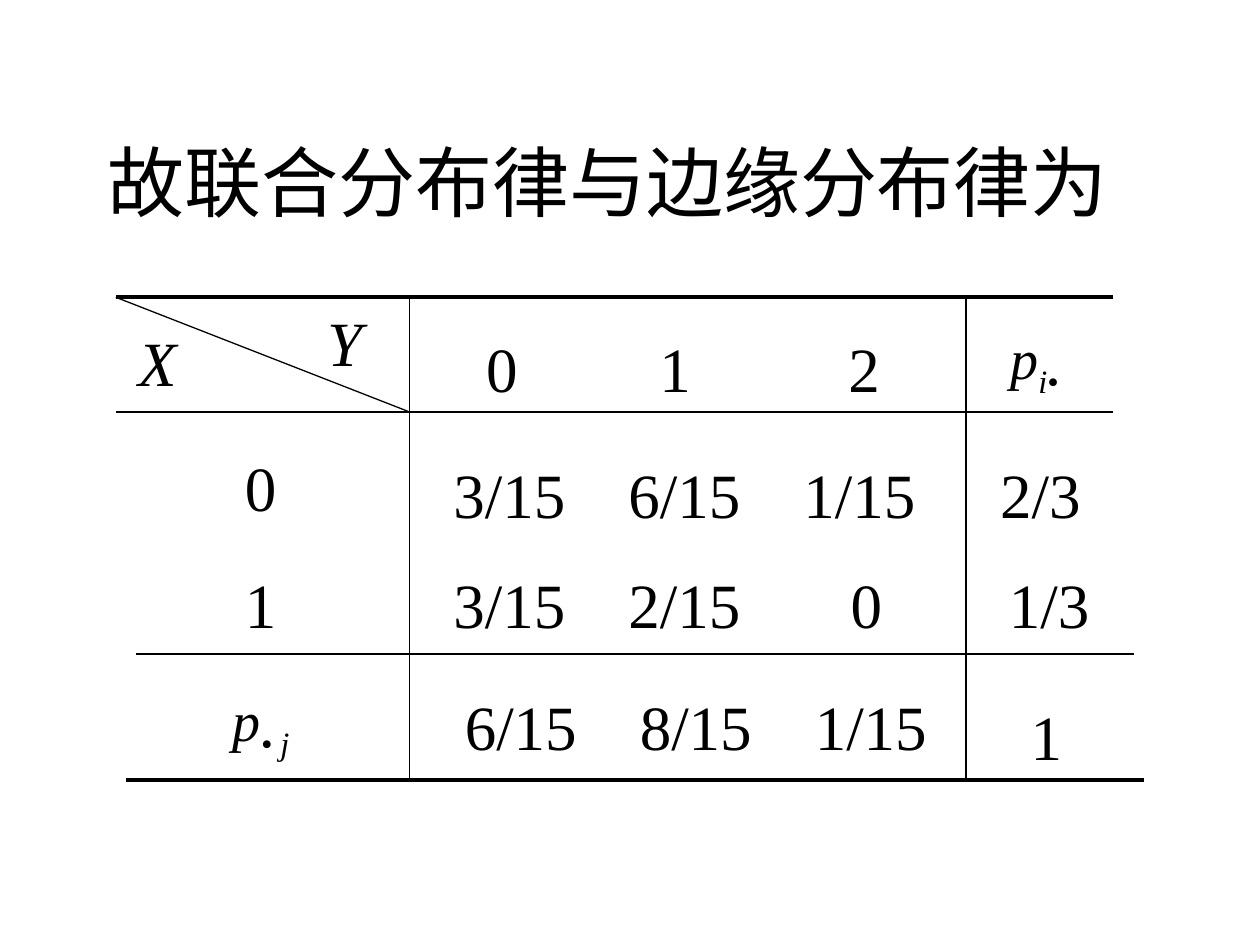
from dataclasses import dataclass

from lxml.etree import SubElement
from pptx import Presentation
from pptx.dml.color import RGBColor
from pptx.enum.shapes import MSO_CONNECTOR as Connector
from pptx.enum.text import MSO_ANCHOR as Anchor, MSO_AUTO_SIZE as AutoSize, PP_ALIGN as Align
from pptx.oxml.ns import qn
from pptx.util import Pt

COLORS = {"ink": "000000", "paper": "FFFFFF"}
FONT = "Times New Roman"
TITLE_SIZE, NUMBER_SIZE, SYMBOL_SIZE = 44, 36, 32

# Edges of the distribution table
LEFT, LABEL_EDGE, SUM_EDGE, RIGHT = 66.2, 234, 552, 635.8
TOP, HEADER_EDGE, TOTAL_EDGE, BOTTOM = 169.9, 235.4, 373.7, 445.7


@dataclass(frozen=True)
class Entry:
    text: str
    left: float
    top: float
    width: float
    height: float = 50.4
    size: float = NUMBER_SIZE
    italic: bool = False
    subscript: str = ""
    tabs: tuple[float, ...] = ()
    gap: float = 0
    inset: float = 7.2


@dataclass(frozen=True)
class Rule:
    start: tuple[float, float]
    end: tuple[float, float]
    weight: float


ENTRIES = [
    Entry("0\n1", 123.8, 252.7, 50.4, height=115.2, gap=23.5, inset=16.2),
    Entry("0\t1\t2", 270.7, 185, 239, tabs=(99, 207)),
    Entry("3/15\t6/15\t1/15", 252, 257, 278, tabs=(100, 200)),
    Entry("3/15\t2/15\t0", 252, 319.7, 259.2, tabs=(100, 227)),
    Entry("6/15\t8/15\t1/15", 258.5, 389.5, 278, tabs=(100, 200)),
    Entry("X", 72, 181.4, 37.4, italic=True),
    Entry("Y", 180, 169.9, 43.2, italic=True),
    Entry("p", 570.2, 181.4, 43.9, 51.1, SYMBOL_SIZE, True, "i•"),
    Entry("p", 126, 388.1, 49, 51.1, SYMBOL_SIZE, True, "• j"),
    Entry("2/3", 564.5, 257, 60.5),
    Entry("1/3", 569.5, 319.7, 60.5),
    Entry("1", 581.8, 395.3, 32.4),
]

RULES = [
    Rule((LEFT, TOP), (RIGHT, TOP), 2.25),
    Rule((LEFT, HEADER_EDGE), (RIGHT, HEADER_EDGE), 0.75),
    Rule((77.8, TOTAL_EDGE), (648, TOTAL_EDGE), 0.75),
    Rule((72, BOTTOM), (653.8, BOTTOM), 2.25),
    Rule((LABEL_EDGE, TOP), (LABEL_EDGE, BOTTOM), 1),
    Rule((SUM_EDGE, TOP), (SUM_EDGE, BOTTOM), 1),
    Rule((LEFT, TOP), (LABEL_EDGE, HEADER_EDGE), 0.75),
]


def color(name: str) -> RGBColor:
    return RGBColor.from_string(COLORS[name])


def fill_box(box, entry: Entry) -> None:
    """Place a text shape and give it the entry's text and formatting."""
    box.left, box.top = Pt(entry.left), Pt(entry.top)
    box.width, box.height = Pt(entry.width), Pt(entry.height)
    frame = box.text_frame
    frame.word_wrap = True
    frame.auto_size = AutoSize.NONE
    frame.vertical_anchor = Anchor.TOP
    frame.margin_left, frame.margin_right = Pt(entry.inset), 0
    frame.margin_top = frame.margin_bottom = Pt(3.6)
    frame.text = entry.text
    for index, para in enumerate(frame.paragraphs):
        para.alignment = Align.LEFT
        if index and entry.gap:
            para.space_before = Pt(entry.gap)
        if entry.tabs:
            tab_list = SubElement(para._p.get_or_add_pPr(), qn("a:tabLst"))
            for stop in entry.tabs:
                SubElement(tab_list, qn("a:tab"), pos=str(int(Pt(stop))), algn="l")
        if entry.subscript:
            span = para.add_run()
            span.text = entry.subscript
            span._r.get_or_add_rPr().set("baseline", "-25000")
        for span in para.runs:
            span.font.name = FONT
            span.font.size = Pt(entry.size)
            span.font.italic = entry.italic
            span.font.color.rgb = color("ink")


def draw_rule(page, rule: Rule) -> None:
    line = page.shapes.add_connector(
        Connector.STRAIGHT, *(Pt(value) for value in rule.start + rule.end))
    line.line.color.rgb = color("ink")
    line.line.width = Pt(rule.weight)
    SubElement(line._element.spPr, qn("a:effectLst"))


def main() -> None:
    deck = Presentation()
    deck.slide_width, deck.slide_height = Pt(720), Pt(540)
    page = deck.slides.add_slide(deck.slide_layouts[5])
    page.background.fill.solid()
    page.background.fill.fore_color.rgb = color("paper")

    fill_box(page.shapes.title, Entry(
        "故联合分布律与边缘分布律为", 54, 73.4, 586.8, 60.5, TITLE_SIZE))
    for rule in RULES:
        draw_rule(page, rule)
    for entry in ENTRIES:
        fill_box(page.shapes.add_textbox(0, 0, 0, 0), entry)

    deck.save("out.pptx")


if __name__ == "__main__":
    main()
